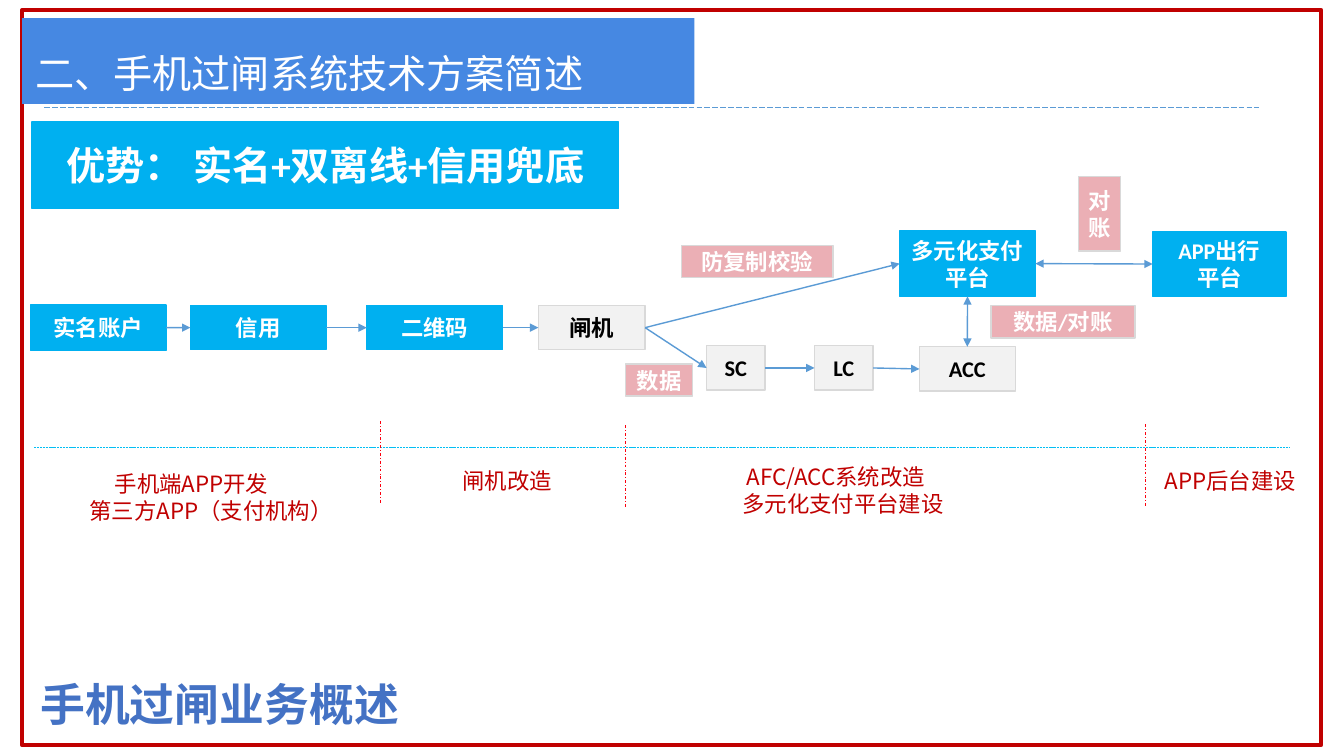
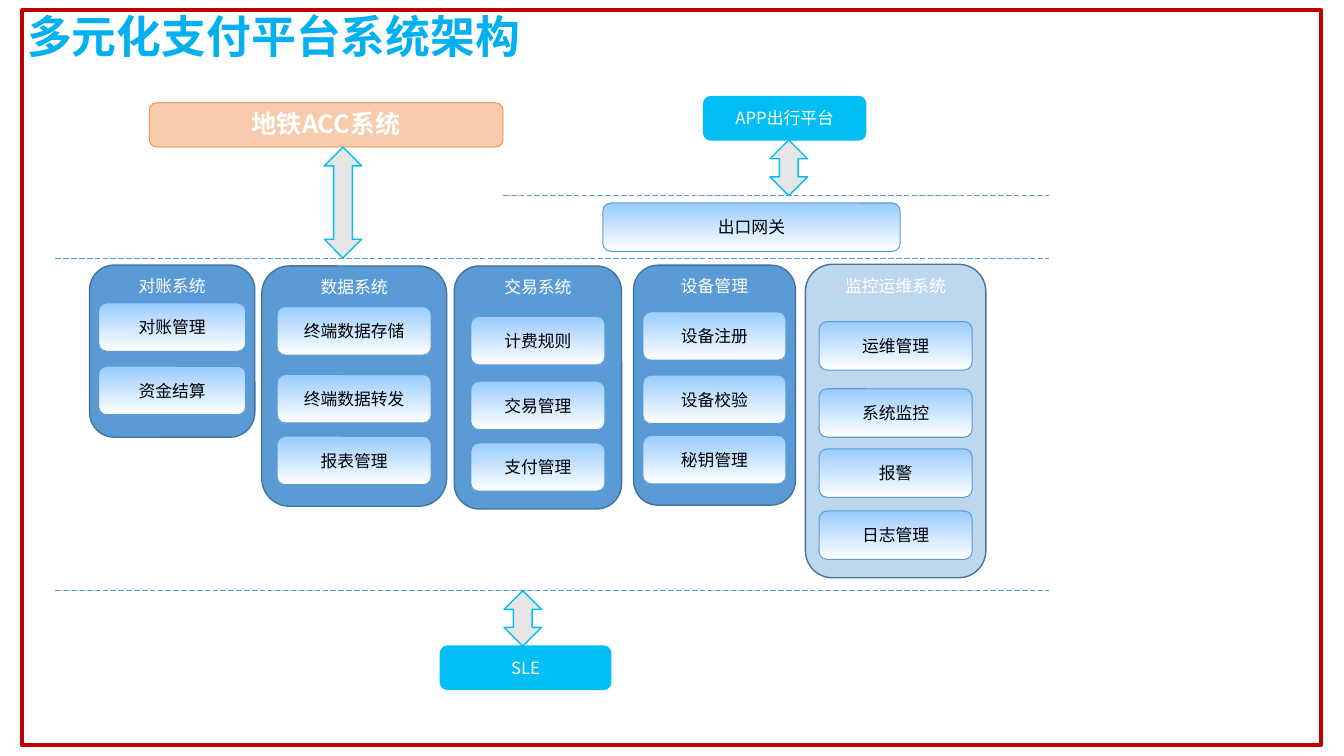
from dataclasses import dataclass

from lxml.etree import SubElement
from pptx import Presentation
from pptx.dml.color import RGBColor
from pptx.enum.dml import MSO_LINE_DASH_STYLE as Dash
from pptx.enum.shapes import MSO_CONNECTOR as Link, MSO_SHAPE as Shape
from pptx.enum.text import MSO_ANCHOR as Anchor, MSO_AUTO_SIZE as AutoSize, PP_ALIGN as Align
from pptx.oxml.ns import qn
from pptx.util import Pt

TOP, LEFT, BOTTOM, RIGHT = range(4)


@dataclass(frozen=True)
class Theme:
    latin: str = "Calibri"
    cjk: str = "Noto Sans CJK SC"
    white: str = "FFFFFF"
    black: str = "000000"
    cyan: str = "00B0F0"
    sky: str = "03BEF4"
    banner: str = "4688E2"
    heading: str = "4472C4"
    red: str = "C00000"
    divider: str = "FB000F"
    blue: str = "5B9BD5"
    navy: str = "43739E"
    pale_blue: str = "BDD7EE"
    ice: str = "99CCFF"
    grey: str = "F2F2F2"
    grey_line: str = "D9D9D9"
    arrow_grey: str = "E7E6E6"
    pink: str = "EBAFB5"
    peach: str = "F8CBAD"
    orange: str = "ED7D31"
    title_size: int = 32
    banner_size: int = 28
    flow_size: int = 16
    acc_size: int = 18
    module_size: int = 12


THEME = Theme()


@dataclass(frozen=True)
class Look:
    """How a box is filled, outlined and lettered."""
    fill: object = None  # one colour, or a pair for a vertical gradient
    line: str = None
    weight: float = 1
    color: str = THEME.white
    size: int = THEME.flow_size
    bold: bool = False
    font: str = THEME.cjk
    anchor: object = Anchor.MIDDLE
    inset: tuple = (7.2, 3.6)
    spacing: float = None
    align: object = Align.CENTER
    shape: object = Shape.RECTANGLE
    corner: float = None


STEP = Look(THEME.cyan, THEME.cyan, bold=True, font=THEME.latin)
DEVICE = Look(THEME.grey, THEME.grey_line, color=THEME.black, bold=True, font=THEME.latin)
LABEL = Look(THEME.pink, THEME.grey_line, bold=True, font=THEME.latin)
ADVANTAGE = Look(THEME.cyan, THEME.cyan, size=THEME.banner_size, bold=True, font=THEME.latin)
BANNER = Look(THEME.banner, size=THEME.banner_size, inset=(9.4, 5), spacing=1.5, align=Align.LEFT)
FRAME = Look(line=THEME.red, weight=3)
NOTE = Look(color=THEME.red, anchor=Anchor.TOP, align=Align.LEFT)
GROUP = Look(THEME.blue, THEME.navy, size=THEME.module_size, anchor=Anchor.TOP,
             inset=(3.6, 2.2), shape=Shape.ROUNDED_RECTANGLE, corner=0.15)
PALE_GROUP = Look(THEME.pale_blue, THEME.navy, size=THEME.module_size, anchor=Anchor.TOP,
                  inset=(3.6, 2.2), shape=Shape.ROUNDED_RECTANGLE, corner=0.15)
MODULE = Look((THEME.ice, THEME.white), THEME.blue, 0.75, THEME.black, THEME.module_size,
              inset=(3.6, 2.2), shape=Shape.ROUNDED_RECTANGLE)
PORTAL = Look(THEME.sky, THEME.sky, size=THEME.module_size, shape=Shape.ROUNDED_RECTANGLE)
METRO = Look(THEME.peach, THEME.orange, 0.5, size=THEME.acc_size, bold=True,
             anchor=Anchor.TOP, inset=(3.6, 2.2), shape=Shape.ROUNDED_RECTANGLE)
EXCHANGE = Look(THEME.arrow_grey, THEME.sky, shape=Shape.UP_DOWN_ARROW)


def rgb(color):
    return RGBColor.from_string(color)


class Deck:
    def __init__(self):
        self.prs = Presentation()
        self.prs.slide_width, self.prs.slide_height = Pt(960), Pt(540)
        self.slide = None

    def new_slide(self, title, x, y, color):
        """Start a slide with its title and the red frame."""
        self.slide = self.prs.slides.add_slide(self.prs.slide_layouts[5])
        heading = self.slide.shapes.title
        heading.left, heading.top, heading.width, heading.height = map(Pt, (x, y, 897, 50))
        self.set_text(heading.text_frame, title,
                      Look(color=color, size=THEME.title_size, bold=True, anchor=Anchor.TOP,
                           spacing=0.9, align=Align.LEFT))
        self.box((15.8, 7.2, 928, 525), "", FRAME)

    def set_text(self, frame, text, look, indent=0):
        """Fill a text frame; indent moves its first line to the right."""
        frame.word_wrap, frame.auto_size = True, AutoSize.NONE
        frame.vertical_anchor = look.anchor
        frame.margin_left = frame.margin_right = Pt(look.inset[0])
        frame.margin_top = frame.margin_bottom = Pt(look.inset[1])
        for i, line in enumerate(text.split("\n")):
            paragraph = frame.add_paragraph() if i else frame.paragraphs[0]
            paragraph.text, paragraph.alignment = line, look.align
            if look.spacing:
                paragraph.line_spacing = look.spacing
            props = paragraph._p.get_or_add_pPr()
            if indent and not i:
                props.set("marL", str(Pt(indent)))
            font = paragraph.font
            font.size, font.bold, font.name = Pt(look.size), look.bold, look.font
            font.color.rgb = rgb(look.color)
            SubElement(props.find(qn("a:defRPr")), qn("a:ea")).set("typeface", THEME.cjk)

    def box(self, at, text, look):
        shape = self.slide.shapes.add_shape(look.shape, *map(Pt, at))
        shape.shadow.inherit = False
        if look.corner:
            shape.adjustments[0] = look.corner
        if look.fill is None:
            shape.fill.background()
        elif isinstance(look.fill, tuple):
            shape.fill.gradient()
            shape.fill.gradient_angle = 270
            for stop, color, place in zip(shape.fill.gradient_stops, look.fill, (0, 1)):
                stop.color.rgb, stop.position = rgb(color), place
        else:
            shape.fill.solid()
            shape.fill.fore_color.rgb = rgb(look.fill)
        if look.line:
            shape.line.color.rgb, shape.line.width = rgb(look.line), Pt(look.weight)
        else:
            shape.line.fill.background()
        if text:
            self.set_text(shape.text_frame, text, look)
        return shape

    def note(self, at, text, indent=0):
        area = self.slide.shapes.add_textbox(*map(Pt, at))
        self.set_text(area.text_frame, text, NOTE, indent)

    def line(self, x1, y1, x2, y2, color, weight=0.5, dash=None):
        link = self.slide.shapes.add_connector(Link.STRAIGHT, *map(Pt, (x1, y1, x2, y2)))
        link.line.color.rgb, link.line.width = rgb(color), Pt(weight)
        if dash:
            link.line.dash_style = dash
        SubElement(link._element.spPr, qn("a:effectLst"))
        return link

    def arrow(self, start, start_side, end, end_side, both=False):
        link = self.line(0, 0, 0, 0, THEME.blue, 1)
        link.begin_connect(start, start_side)
        link.end_connect(end, end_side)
        outline = link._element.spPr.find(qn("a:ln"))
        for tip in ("a:headEnd", "a:tailEnd")[0 if both else 1:]:
            SubElement(outline, qn(tip)).set("type", "triangle")


def build_overview(deck):
    deck.new_slide("手机过闸业务概述", 21.6, 483.8, THEME.heading)

    # Section banner and advantage
    deck.box((15.8, 13, 480.2, 61.2), "二、手机过闸系统技术方案简述", BANNER)
    deck.line(31.7, 77, 899.3, 77, THEME.blue, dash=Dash.LONG_DASH)
    deck.box((23, 87.1, 419, 61.9), "优势： 实名+双离线+信用兜底", ADVANTAGE)

    # Flow steps
    account = deck.box((21.6, 217.8, 97, 32.4), "实名账户", STEP)
    credit = deck.box((136, 218.2, 97, 31.7), "信用", STEP)
    qr_code = deck.box((262, 218.2, 97, 31.7), "二维码", STEP)
    gate = deck.box((384.5, 218.2, 76.3, 31.7), "闸机", DEVICE)
    sc = deck.box((504.7, 247, 41.8, 31.7), "SC", DEVICE)
    lc = deck.box((581.8, 247, 41.8, 31.7), "LC", DEVICE)
    acc = deck.box((656.8, 247.7, 68.4, 31.7), "ACC", DEVICE)
    payment = deck.box((642.6, 164.9, 97, 46.8), "多元化支付平台", STEP)
    travel_app = deck.box((823.3, 165.6, 95.4, 46), "APP出行\n平台", STEP)

    # Flow arrows
    for start, end in ((account, credit), (credit, qr_code), (qr_code, gate),
                       (gate, payment), (gate, sc), (sc, lc), (lc, acc)):
        deck.arrow(start, RIGHT, end, LEFT)
    deck.arrow(payment, BOTTOM, acc, TOP, both=True)
    deck.arrow(payment, RIGHT, travel_app, LEFT, both=True)

    # Arrow labels
    for at, text in (((486.7, 175.2, 108.3, 23), "防复制校验"),
                     ((446.8, 260, 48, 23), "数据"),
                     ((707.8, 218.4, 103, 23), "数据/对账"),
                     ((770.4, 126.2, 30.2, 53), "对\n账")):
        deck.box(at, text, LABEL)

    # Work areas below the flow
    deck.line(24.5, 319.7, 921.6, 319.7, THEME.sky, dash=Dash.SQUARE_DOT)
    for x, y in ((272, 301), (446.6, 303.8), (818, 303.2)):
        deck.line(x, y, x, y + 58.3, THEME.divider, dash=Dash.DASH_DOT)
    deck.note((56.9, 332.6, 193, 46), "手机端APP开发\n第三方APP（支付机构）", 18)
    deck.note((323.3, 329.8, 90, 26.6), "闸机改造")
    deck.note((523.4, 327.6, 170, 46), "AFC/ACC系统改造\n多元化支付平台建设", 3)
    deck.note((824.8, 329.8, 120, 26.6), "APP后台建设")


def build_architecture(deck):
    deck.new_slide("多元化支付平台系统架构", 12.2, 7.2, THEME.cyan)

    # Layer borders
    for x, y in ((359.3, 139.7), (39.6, 184.3), (39.6, 421.9)):
        deck.line(x, y, 749.5, y, THEME.blue, dash=Dash.LONG_DASH)

    # Outside systems and gateway
    deck.box((106.6, 73.4, 252.7, 31.7), "地铁ACC系统", METRO)
    deck.box((502.6, 69, 115.8, 31), "APP出行平台", PORTAL)
    deck.box((314.6, 461.5, 121.7, 31), "SLE", PORTAL)
    deck.box((430.6, 145, 212.4, 34.6), "出口网关", MODULE)
    for x, y, height in ((231.6, 105.1, 79.2), (550, 100, 39.7), (360, 421.9, 39.6)):
        deck.box((x, y, 26.8, height), "", EXCHANGE)

    # Subsystems: name, place, look, module width, modules with their tops
    subsystems = (
        ("对账系统", (64, 189.3, 118, 123), GROUP, 105,
         (("对账管理", 216.3), ("资金结算", 261.6))),
        ("数据系统", (187, 190, 132, 171.6), GROUP, 110,
         (("终端数据存储", 219), ("终端数据转发", 267.5), ("报表管理", 311.6))),
        ("交易系统", (324.5, 190, 119.5, 173.6), GROUP, 95.8,
         (("计费规则", 226), ("交易管理", 272.3), ("支付管理", 316.3))),
        ("设备管理", (452.6, 189.4, 115.5, 171.4), GROUP, 102.2,
         (("设备注册", 222.7), ("设备校验", 268), ("秘钥管理", 311))),
        ("监控运维系统", (575.3, 188.8, 128.9, 223.9), PALE_GROUP, 109.4,
         (("运维管理", 229.7), ("系统监控", 277.7), ("报警", 320.6), ("日志管理", 365))),
    )
    for name, at, look, width, modules in subsystems:
        deck.box(at, name, look)
        x = at[0] + (at[2] - width) / 2
        for module, y in modules:
            deck.box((x, y, width, 34.6), module, MODULE)


def main():
    deck = Deck()
    build_overview(deck)
    build_architecture(deck)
    deck.prs.save("out.pptx")


if __name__ == "__main__":
    main()
